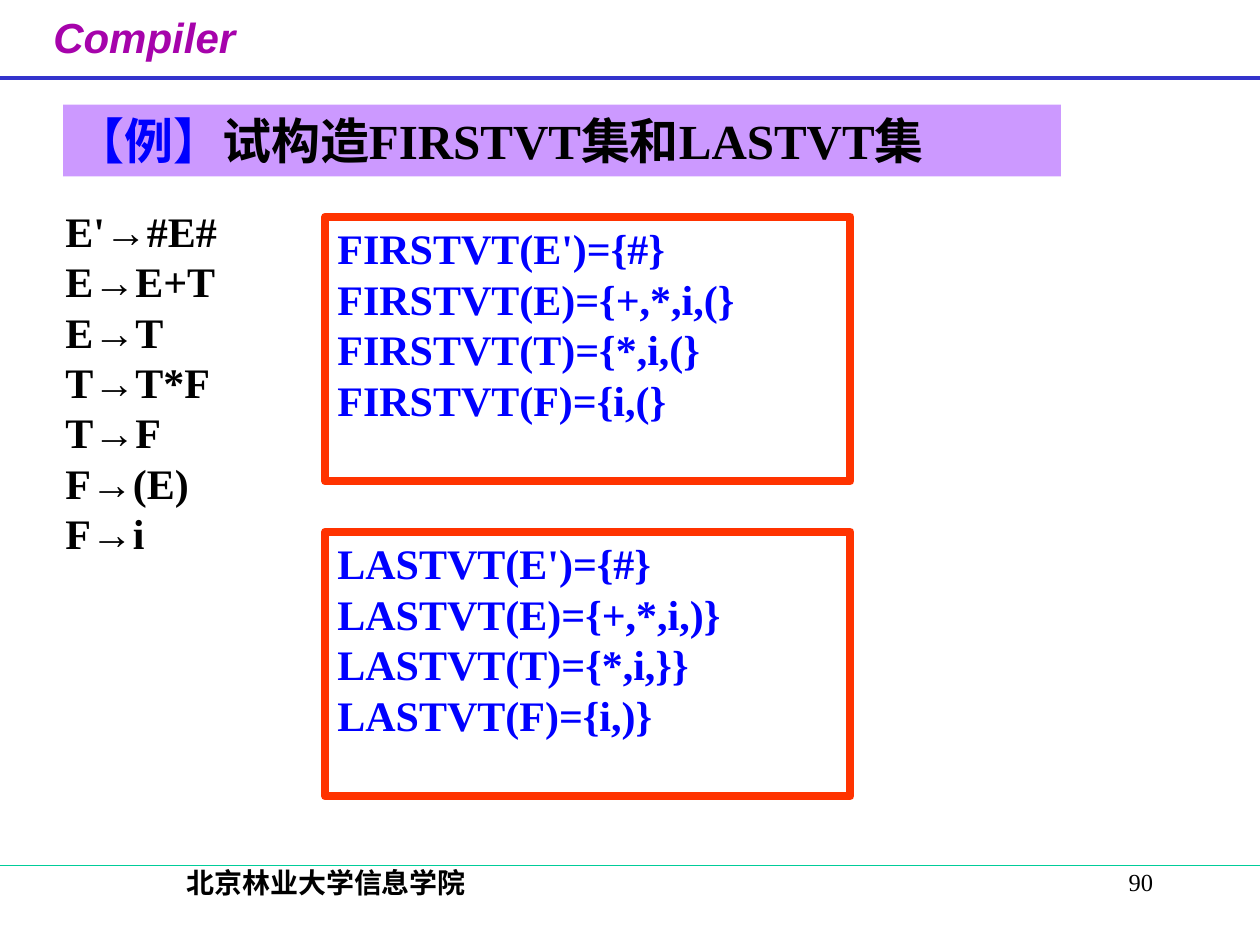
from dataclasses import dataclass

from lxml.etree import SubElement
from pptx import Presentation
from pptx.dml.color import RGBColor
from pptx.enum.shapes import MSO_CONNECTOR, MSO_SHAPE
from pptx.enum.text import MSO_ANCHOR, PP_ALIGN as Align
from pptx.oxml.ns import qn
from pptx.util import Inches, Pt

COLORS = {
    "black": "000000", "blue": "0000FF", "purple": "A603AB", "lilac": "CC99FF",
    "red": "FF3300", "header_rule": "3333CC", "footer_rule": "00CC99",
}
SERIF = "Times New Roman"
CHINESE = "Noto Sans CJK SC"


@dataclass
class TextStyle:
    size: float
    color: str = "black"
    bold: bool = True
    italic: bool = False
    name: str = SERIF
    align: Align = Align.LEFT


@dataclass
class Box:
    left: float
    top: float
    width: float
    height: float

    def lengths(self) -> tuple:
        return tuple(map(Inches, (self.left, self.top, self.width, self.height)))


@dataclass
class Rule:
    y: float
    color: str
    weight: float


def rgb(color: str) -> RGBColor:
    return RGBColor.from_string(COLORS[color])


def write_lines(shape, lines: list, style: TextStyle, wrap: bool = True) -> None:
    """Write one paragraph per line; a line is a list of (text, color) runs."""
    frame = shape.text_frame
    frame.word_wrap = wrap
    frame.vertical_anchor = MSO_ANCHOR.TOP
    for index, runs in enumerate(lines):
        paragraph = frame.add_paragraph() if index else frame.paragraphs[0]
        paragraph.alignment = style.align
        font = paragraph.font
        font.size, font.name = Pt(style.size), style.name
        font.bold, font.italic = style.bold, style.italic
        font.color.rgb = rgb(style.color)
        default_run = paragraph._p.pPr.find(qn("a:defRPr"))
        SubElement(default_run, qn("a:ea")).set("typeface", CHINESE)
        for text, color in runs:
            run = paragraph.add_run()
            run.text = text
            if color != style.color:
                run.font.color.rgb = rgb(color)


def plain(lines: list[str], style: TextStyle) -> list:
    return [[(line, style.color)] for line in lines]


def add_text(slide, box: Box, lines: list[str], style: TextStyle, wrap: bool = True) -> None:
    write_lines(slide.shapes.add_textbox(*box.lengths()), plain(lines, style), style, wrap)


def add_rectangle(slide, box: Box, fill: str | None = None, line: str | None = None):
    shape = slide.shapes.add_shape(MSO_SHAPE.RECTANGLE, *box.lengths())
    shape.shadow.inherit = False
    if fill:
        shape.fill.solid()
        shape.fill.fore_color.rgb = rgb(fill)
    else:
        shape.fill.background()
    if line:
        shape.line.color.rgb = rgb(line)
        shape.line.width = Pt(4.5)
    else:
        shape.line.fill.background()
    return shape


def add_rule(slide, rule: Rule) -> None:
    connector = slide.shapes.add_connector(
        MSO_CONNECTOR.STRAIGHT, 0, Inches(rule.y), Inches(10), Inches(rule.y))
    connector.line.color.rgb = rgb(rule.color)
    connector.line.width = Pt(rule.weight)
    SubElement(connector._element.spPr, qn("a:effectLst"))


def main() -> None:
    presentation = Presentation()
    presentation.slide_width, presentation.slide_height = Inches(10), Inches(7.5)
    slide = presentation.slides.add_slide(presentation.slide_layouts[6])

    # Header and footer
    add_text(slide, Box(7.17, 6.83, 2.08, 0.5), ["90"],
             TextStyle(14, bold=False, align=Align.RIGHT))
    add_text(slide, Box(0.19, 0.04, 1.91, 0.62), ["Compiler"],
             TextStyle(24, "purple", italic=True, name="Arial", align=Align.CENTER), wrap=False)
    add_text(slide, Box(0.52, 6.82, 4.14, 0.5), ["北京林业大学信息学院"],
             TextStyle(16, align=Align.CENTER))
    for rule in (Rule(0.62, "header_rule", 2.25), Rule(6.87, "footer_rule", 0.75)):
        add_rule(slide, rule)

    # Title bar
    title = add_rectangle(slide, Box(0.5, 0.83, 7.92, 0.57), fill="lilac")
    write_lines(title, [[("【例】", "blue"), ("试构造FIRSTVT集和LASTVT集", "black")]],
                TextStyle(28))

    # Grammar productions
    add_text(slide, Box(0.42, 1.58, 1.69, 3.3),
             ["E'→#E#", "E→E+T", "E→T", "T→T*F", "T→F", "F→(E)", "F→i"],
             TextStyle(24, align=Align.JUSTIFY))

    # Result sets, one framed box per function
    result_style = TextStyle(24, "blue", align=Align.JUSTIFY)
    results = [
        ["FIRSTVT(E')={#}", "FIRSTVT(E)={+,*,i,(}", "FIRSTVT(T)={*,i,(}", "FIRSTVT(F)={i,(}"],
        ["LASTVT(E')={#}", "LASTVT(E)={+,*,i,)}", "LASTVT(T)={*,i,}}", "LASTVT(F)={i,)}"],
    ]
    for index, lines in enumerate(results):
        frame = add_rectangle(slide, Box(2.58, 1.72 + 2.5 * index, 4.17, 2.1), line="red")
        write_lines(frame, plain(lines, result_style), result_style)

    presentation.save("out.pptx")


if __name__ == "__main__":
    main()
